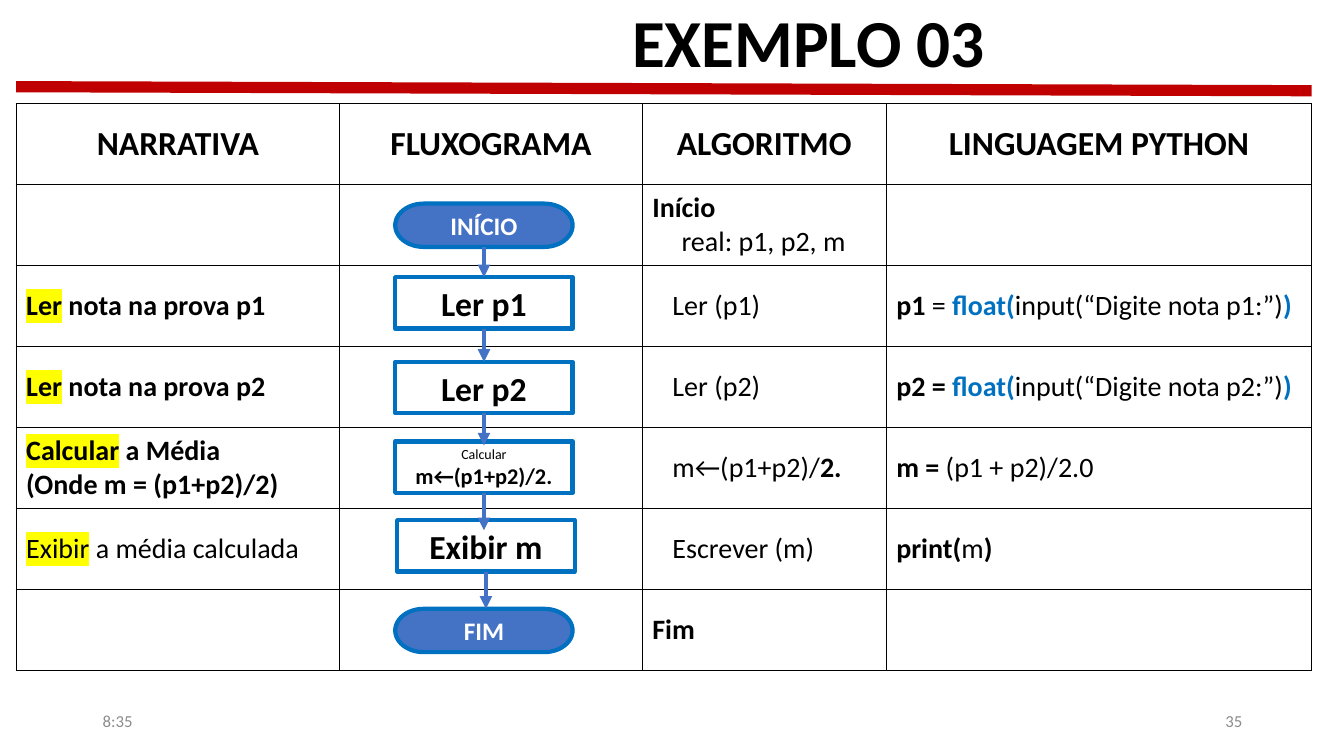
from dataclasses import dataclass

from lxml.etree import SubElement
from pptx import Presentation
from pptx.dml.color import RGBColor
from pptx.enum.shapes import MSO_CONNECTOR as CONN, MSO_SHAPE as SHAPE
from pptx.enum.text import MSO_ANCHOR as ANCHOR, PP_ALIGN as ALIGN
from pptx.oxml.ns import qn
from pptx.util import Pt

PX = 9144  # EMU per px, 100 px to the inch
TOP, BOTTOM = 0, 2


@dataclass(frozen=True)
class Theme:
    font: str = "Calibri"
    ink: str = "000000"
    white: str = "FFFFFF"
    grey: str = "8C8C8C"
    red: str = "C00000"
    blue: str = "0070C0"
    node: str = "4472C4"
    mark: str = "FFFF00"
    title: int = 48
    head: int = 24
    body: int = 20
    terminal: int = 18
    formula: int = 16
    small: int = 12
    tiny: int = 10


@dataclass(frozen=True)
class Par:
    """Runs are (text, flags): b bold, h highlighted, c coloured blue."""
    runs: tuple
    size: int
    color: str = Theme.ink
    align: ALIGN = ALIGN.LEFT
    indent: int = 0
    spacing: float = 1.0


class Deck:
    def __init__(self, theme, width, height):
        self.theme = theme
        self.prs = Presentation()
        self.prs.slide_width, self.prs.slide_height = width * PX, height * PX
        self.s = self.prs.slides.add_slide(self.prs.slide_layouts[6])

    def paragraphs(self, tf, pars):
        tf.word_wrap = True
        for i, par in enumerate(pars):
            p = tf.add_paragraph() if i else tf.paragraphs[0]
            p.alignment = par.align
            if par.spacing != 1:
                p.line_spacing = par.spacing
            if par.indent:
                p._p.get_or_add_pPr().set("indent", str(par.indent * PX))
            p.font.name, p.font.size = self.theme.font, Pt(par.size)
            p.font.color.rgb = RGBColor.from_string(par.color)
            bolds = {"b" in flags for _, flags in par.runs}
            if len(bolds) == 1:
                p.font.bold = "b" in par.runs[0][1]
            for text, flags in par.runs:
                r = p.add_run()
                r.text = text
                if len(bolds) > 1:
                    r.font.bold = "b" in flags
                if "c" in flags:
                    r.font.color.rgb = RGBColor.from_string(self.theme.blue)
                if "h" in flags:
                    mark = SubElement(r._r.get_or_add_rPr(), qn("a:highlight"))
                    SubElement(mark, qn("a:srgbClr"), val=self.theme.mark)

    def text(self, x, y, w, h, par):
        tf = self.s.shapes.add_textbox(x * PX, y * PX, w * PX, h * PX).text_frame
        tf.vertical_anchor = ANCHOR.MIDDLE
        self.paragraphs(tf, [par])

    def box(self, kind, x, y, w, h, pars, fill=None):
        sp = self.s.shapes.add_shape(kind, x * PX, y * PX, w * PX, h * PX)
        sp.shadow.inherit = False
        if fill:
            sp.fill.solid()
            sp.fill.fore_color.rgb = RGBColor.from_string(fill)
        else:
            sp.fill.background()
        sp.line.color.rgb = RGBColor.from_string(self.theme.blue)
        sp.line.width = Pt(3)
        sp.text_frame.vertical_anchor = ANCHOR.MIDDLE
        self.paragraphs(sp.text_frame, pars)
        return sp

    def line(self, x1, y1, x2, y2, color, width, arrow=False):
        c = self.s.shapes.add_connector(
            CONN.STRAIGHT, x1 * PX, y1 * PX, x2 * PX, y2 * PX)
        c.line.color.rgb = RGBColor.from_string(color)
        c.line.width = Pt(width)
        spPr = c._element.spPr
        if arrow:
            SubElement(spPr.find(qn("a:ln")), qn("a:tailEnd"), type="triangle")
        SubElement(spPr, qn("a:effectLst"))
        return c

    def table(self, x, y, widths, height, rows):
        tbl = self.s.shapes.add_table(
            len(rows), len(widths), x * PX, y * PX, sum(widths) * PX, height * PX).table
        tbl.first_row = tbl.horz_banding = False
        for col, width in zip(tbl.columns, widths):
            col.width = width * PX
        for i, row in enumerate(rows):
            for j, pars in enumerate(row):
                cell = tbl.cell(i, j)
                self.borders(cell)
                cell.fill.background()
                cell.vertical_anchor = ANCHOR.MIDDLE
                self.paragraphs(cell.text_frame, pars)

    def borders(self, cell):
        tcPr = cell._tc.get_or_add_tcPr()
        for side in "LRTB":
            ln = SubElement(tcPr, qn(f"a:ln{side}"), w=str(Pt(1)))
            fill = SubElement(ln, qn("a:solidFill"))
            SubElement(fill, qn("a:srgbClr"), val=self.theme.ink)


def body(*runs, indent=0):
    return Par(runs, Theme.body, indent=indent)


def centred(text, size, color=Theme.ink, flags="b"):
    return Par(((text, flags),), size, color, ALIGN.CENTER)


def step(*runs):
    return [body(*runs, indent=20)]


def read_row(name):
    return [
        [body(("Ler", "bh"), (f" nota na prova {name}", "b"))],
        [],
        step((f"Ler ({name})", "")),
        [body((f"{name} ", "b"), ("= ", "" if name == "p1" else "b"), ("float(", "bc"),
              (f"input(“Digite nota {name}:”)", ""), (")", "bc"))],
    ]


def main():
    t = Theme()
    deck = Deck(t, 1333, 750)

    # Comparison table
    heads = ("NARRATIVA", "FLUXOGRAMA", "ALGORITMO", "LINGUAGEM PYTHON")
    deck.table(16, 103, (321, 300, 242, 422), 562, [
        [[centred(head, t.head)] for head in heads],
        [[], [], [body(("Início", "b")), body(("real: p1, p2, m", ""), indent=29)], []],
        read_row("p1"),
        read_row("p2"),
        [[body(("Calcular", "bh"), (" a Média", "b")), body(("(Onde m = (p1+p2)/2)", "b"))],
         [],
         step(("m←(p1+p2)/", ""), ("2.", "b")),
         [body(("m =", "b"), (" (p1 + p2)/2.0", ""))]],
        [[body(("Exibir", "h"), (" a média calculada", ""))],
         [],
         step(("Escrever (m)", "")),
         [body(("print(", "b"), ("m", ""), (")", "b"))]],
        [[], [], [body(("Fim", "b"))], []],
    ])

    # Title, rule and footer
    deck.line(16, 86, 1301, 90, t.red, 8)
    deck.text(92, 695, 300, 40, Par((("8:35", ""),), t.small, t.grey))
    deck.text(942, 695, 300, 40, Par((("35", ""),), t.small, t.grey, ALIGN.RIGHT))
    deck.text(303, 0, 998, 90, Par((("EXEMPLO 03", "b"),), t.title,
                                   align=ALIGN.CENTER, spacing=0.9))

    # Flowchart nodes
    start, end = [
        deck.box(SHAPE.FLOWCHART_TERMINATOR, 392, y, 176, 43,
                 [centred(label, t.terminal, t.white)], t.node)
        for label, y in (("INÍCIO", 202), ("FIM", 604))]
    formula = [centred("Calcular", t.tiny, flags=""), centred("m←(p1+p2)/2.", t.formula)]
    read1, read2, calc, show = [
        deck.box(SHAPE.RECTANGLE, x, y, 176, 51, pars)
        for x, y, pars in (
            (392, 275, [centred("Ler p1", t.head)]),
            (392, 359, [centred("Ler p2", t.head)]),
            (392, 438, formula),
            (394, 516, [centred("Exibir m", t.head)]))]

    # Flowchart arrows: the last three end free of the next node's side
    for x, y1, y2, source, target in (
            (480, 245, 275, start, read1),
            (480, 326, 359, read1, read2),
            (480, 410, 442, read2, None),
            (480, 489, 526, calc, None),
            (482, 567, 604, show, None)):
        arrow = deck.line(x, y1, x, y2, t.node, 3, arrow=True)
        arrow.begin_connect(source, BOTTOM)
        if target:
            arrow.end_connect(target, TOP)

    deck.prs.save("out.pptx")


if __name__ == "__main__":
    main()
